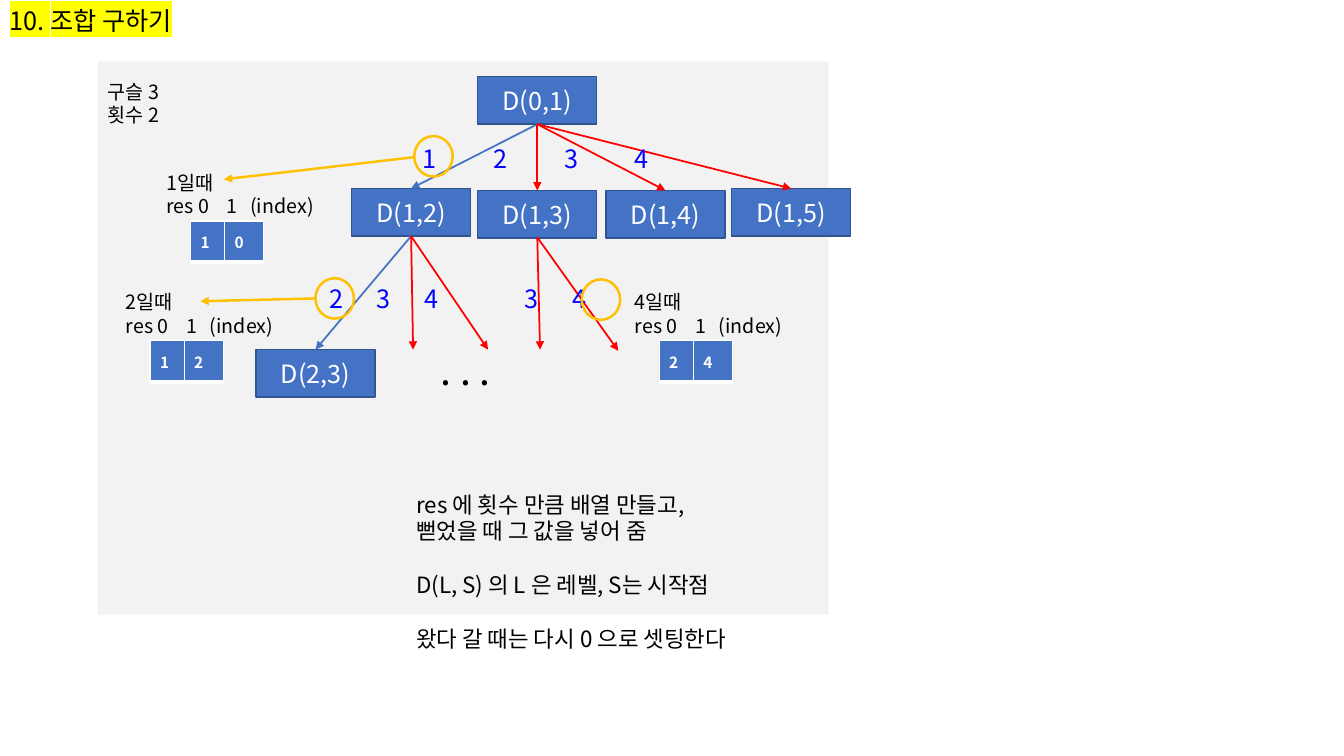
from lxml import etree
from pptx import Presentation
from pptx import util as u
from pptx.dml.color import RGBColor
from pptx.enum import shapes, text
from pptx.oxml import ns

FONT = "Noto Sans CJK KR"
BLUE = RGBColor(0x44, 0x72, 0xC4)
NAVY = RGBColor(0x32, 0x54, 0x91)
RED = RGBColor(0xFF, 0x00, 0x00)
GOLD = RGBColor(0xFF, 0xC0, 0x00)
LABEL = RGBColor(0x00, 0x00, 0xFF)
GRAY = RGBColor(0xF2, 0xF2, 0xF2)
WHITE = RGBColor(0xFF, 0xFF, 0xFF)
BLACK = RGBColor(0x00, 0x00, 0x00)
YELLOW = RGBColor(0xFF, 0xFF, 0x00)
NODE_W, NODE_H = 3.0, 1.2


def sub(parent, tag, **attrs):
    return etree.SubElement(parent, ns.qn(tag), attrs)


def style_runs(p, size, color, bold=False):
    for r in p.runs:
        r.font.size = u.Pt(size)
        r.font.name = FONT
        r.font.bold = bold
        r.font.color.rgb = color
        sub(r._r.rPr, "a:ea", typeface=FONT)


def add_text(s, x, y, w, h, lines, size, color=BLACK, tabs=(), gaps=()):
    tf = s.shapes.add_textbox(u.Cm(x), u.Cm(y), u.Cm(w), u.Cm(h)).text_frame
    tf.word_wrap = False
    tf.text = "\n".join(lines)
    for i, p in enumerate(tf.paragraphs):
        if "\t" in p.text:
            stops = sub(p._p.get_or_add_pPr(), "a:tabLst")
            for pos in tabs:
                sub(stops, "a:tab", pos=str(u.Cm(pos)), algn="l")
        if i in gaps:
            p.space_before = u.Pt(size * 1.2)
        style_runs(p, size, color)
    return tf


def add_shape(s, kind, x, y, w, h, fill=None, line=None, width=1):
    sp = s.shapes.add_shape(kind, u.Cm(x), u.Cm(y), u.Cm(w), u.Cm(h))
    sp.shadow.inherit = False
    if fill is None:
        sp.fill.background()
    else:
        sp.fill.solid()
        sp.fill.fore_color.rgb = fill
    if line is None:
        sp.line.fill.background()
    else:
        sp.line.color.rgb = line
        sp.line.width = u.Pt(width)
    return sp


def add_node(s, label, x, y):
    sp = add_shape(s, shapes.MSO_SHAPE.RECTANGLE, x, y, NODE_W, NODE_H, BLUE, NAVY)
    tf = sp.text_frame
    tf.vertical_anchor = text.MSO_ANCHOR.MIDDLE
    tf.text = label
    tf.paragraphs[0].alignment = text.PP_ALIGN.CENTER
    style_runs(tf.paragraphs[0], 18, WHITE)


def add_arrow(s, start, end, color, width=1.25):
    points = [u.Cm(v) for v in (*start, *end)]
    cx = s.shapes.add_connector(shapes.MSO_CONNECTOR.STRAIGHT, *points)
    cx.line.color.rgb = color
    cx.line.width = u.Pt(width)
    sub(cx.line._get_or_add_ln(), "a:tailEnd", type="triangle")
    sub(cx._element.spPr, "a:effectLst")


def add_ring(s, x, y):
    add_shape(s, shapes.MSO_SHAPE.OVAL, x, y, 0.97, 1.02, line=GOLD, width=1.75)


def add_border(tc_pr, tag, width):
    ln = sub(tc_pr, tag, w=str(u.Pt(width)))
    sub(sub(ln, "a:solidFill"), "a:srgbClr", val=str(WHITE))


def add_result(s, x, y, value, pair):
    add_text(s, x, y, 4.62, 1.45, [f"{value}일때", "res 0\t1\t(index)"], 14,
             tabs=(1.52, 2.12))
    table = s.shapes.add_table(1, 2, u.Cm(x + 0.86), u.Cm(y + 1.4),
                               u.Cm(1.85), u.Cm(1.04)).table
    table.first_row = table.horz_banding = False
    for i, (width, number) in enumerate(zip((0.86, 0.99), pair)):
        table.columns[i].width = u.Cm(width)
        cell = table.cell(0, i)
        cell.text = number
        cell.vertical_anchor = text.MSO_ANCHOR.MIDDLE
        style_runs(cell.text_frame.paragraphs[0], 11, WHITE, bold=True)
        tc_pr = cell._tc.get_or_add_tcPr()
        for tag, weight in (("a:lnL", 1), ("a:lnR", 1), ("a:lnT", 1), ("a:lnB", 3)):
            add_border(tc_pr, tag, weight)
        cell.fill.solid()
        cell.fill.fore_color.rgb = BLUE


def add_title(s):
    tf = add_text(s, 0, 0, 5.03, 1.02, ["10. 조합 구하기"], 18)
    r_pr = tf.paragraphs[0].runs[0]._r.rPr
    highlight = etree.Element(ns.qn("a:highlight"))
    sub(highlight, "a:srgbClr", val=str(YELLOW))
    r_pr.find(ns.qn("a:solidFill")).addnext(highlight)


def add_tree(s):
    for label, x, y in (("D(0,1)", 12.04, 1.93), ("D(1,2)", 8.86, 4.75),
                        ("D(1,3)", 12.04, 4.8), ("D(1,4)", 15.27, 4.8),
                        ("D(1,5)", 18.44, 4.75), ("D(2,3)", 6.45, 8.81)):
        add_node(s, label, x, y)
    branches = (
        ((13.54, 3.13), ((10.36, 4.75, BLUE), (13.54, 4.8, RED),
                         (16.77, 4.8, RED), (19.94, 4.75, RED))),
        ((10.36, 5.95), ((7.95, 8.81, BLUE), (10.41, 8.81, RED), (12.3, 8.81, RED))),
        ((13.54, 5.98), ((13.61, 8.81, RED), (15.58, 8.84, RED))),
    )
    for start, ends in branches:
        for x, y, color in ends:
            add_arrow(s, start, (x, y), color)
    for x, y, w, numbers, step in ((10.41, 3.48, 8.74, "1234", 1.78),
                                   (8.05, 7.01, 4.29, "234", 1.2),
                                   (12.98, 7.01, 2.59, "34", 1.2)):
        tabs = [step * i for i in range(1, len(numbers))]
        add_text(s, x, y, w, 1.02, ["\t".join(numbers)], 18, LABEL, tabs)
    add_text(s, 10.85, 8.59, 2.24, 1.45, [". . ."], 28)


def add_results(s):
    add_result(s, 3.94, 4.17, 1, "10")
    add_result(s, 2.92, 7.19, 2, "12")
    add_result(s, 15.75, 7.19, 4, "24")
    for x, y in ((7.95, 7.01), (10.44, 3.43), (14.66, 7.04)):
        add_ring(s, x, y)
    add_arrow(s, (7.95, 7.52), (5.05, 7.59), GOLD, 1.75)
    add_arrow(s, (10.44, 3.96), (5.64, 4.52), GOLD, 1.75)


def main():
    prs = Presentation()
    prs.slide_width, prs.slide_height = u.Cm(33.87), u.Cm(19.05)
    s = prs.slides.add_slide(prs.slide_layouts[6])
    add_shape(s, shapes.MSO_SHAPE.RECTANGLE, 2.46, 1.55, 18.42, 13.94, GRAY)
    add_title(s)
    add_text(s, 2.46, 1.88, 1.96, 1.45, ["구슬 3", "횟수 2"], 14)
    add_tree(s)
    add_results(s)
    add_text(s, 10.24, 12.24, 9.65, 4.37,
             ["res 에 횟수 만큼 배열 만들고,", "뻗었을 때 그 값을 넣어 줌",
              "D(L, S) 의 L 은 레벨, S는 시작점", "왔다 갈 때는 다시 0 으로 셋팅한다"],
             16, gaps=(2, 3))
    prs.save("out.pptx")


if __name__ == "__main__":
    main()
